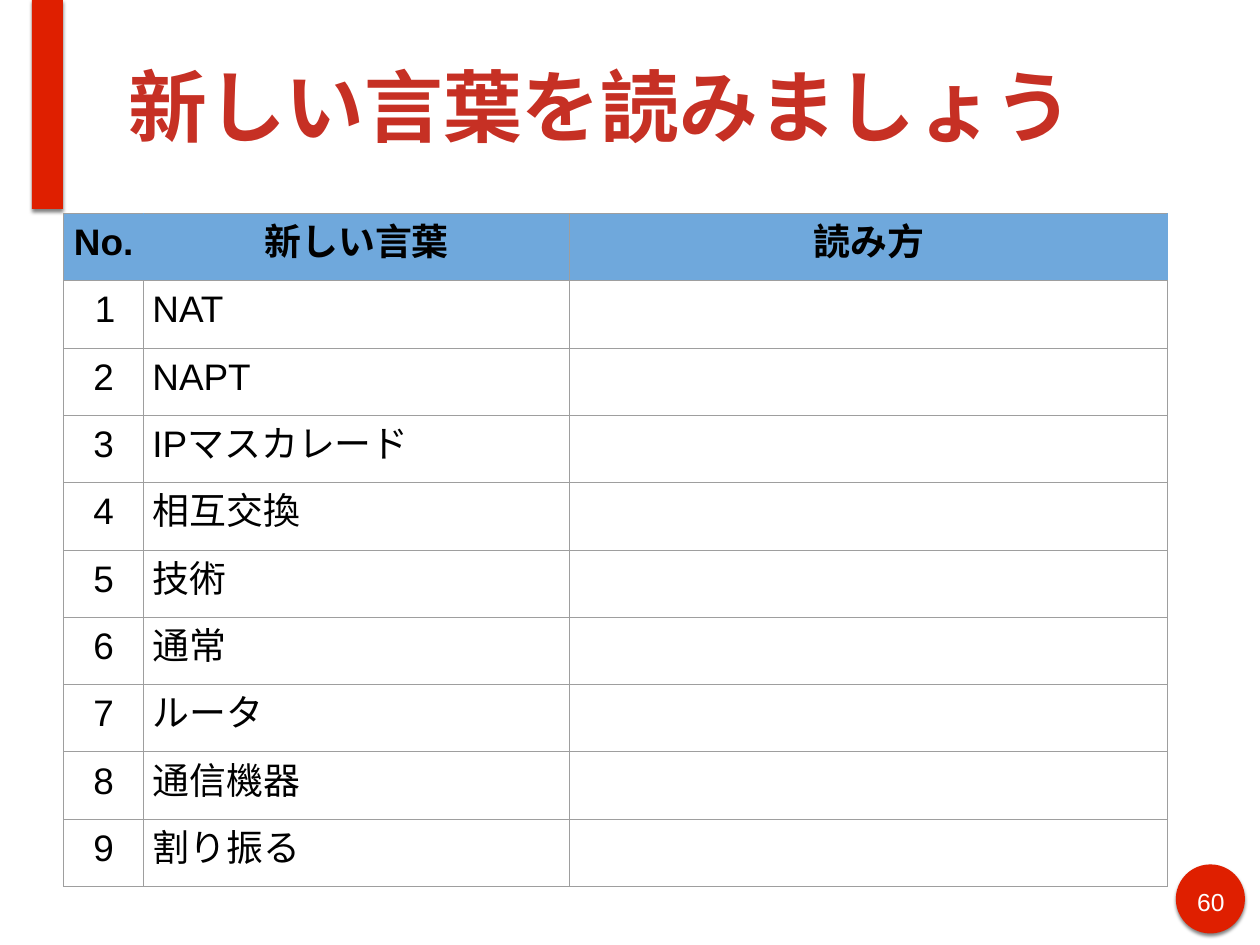
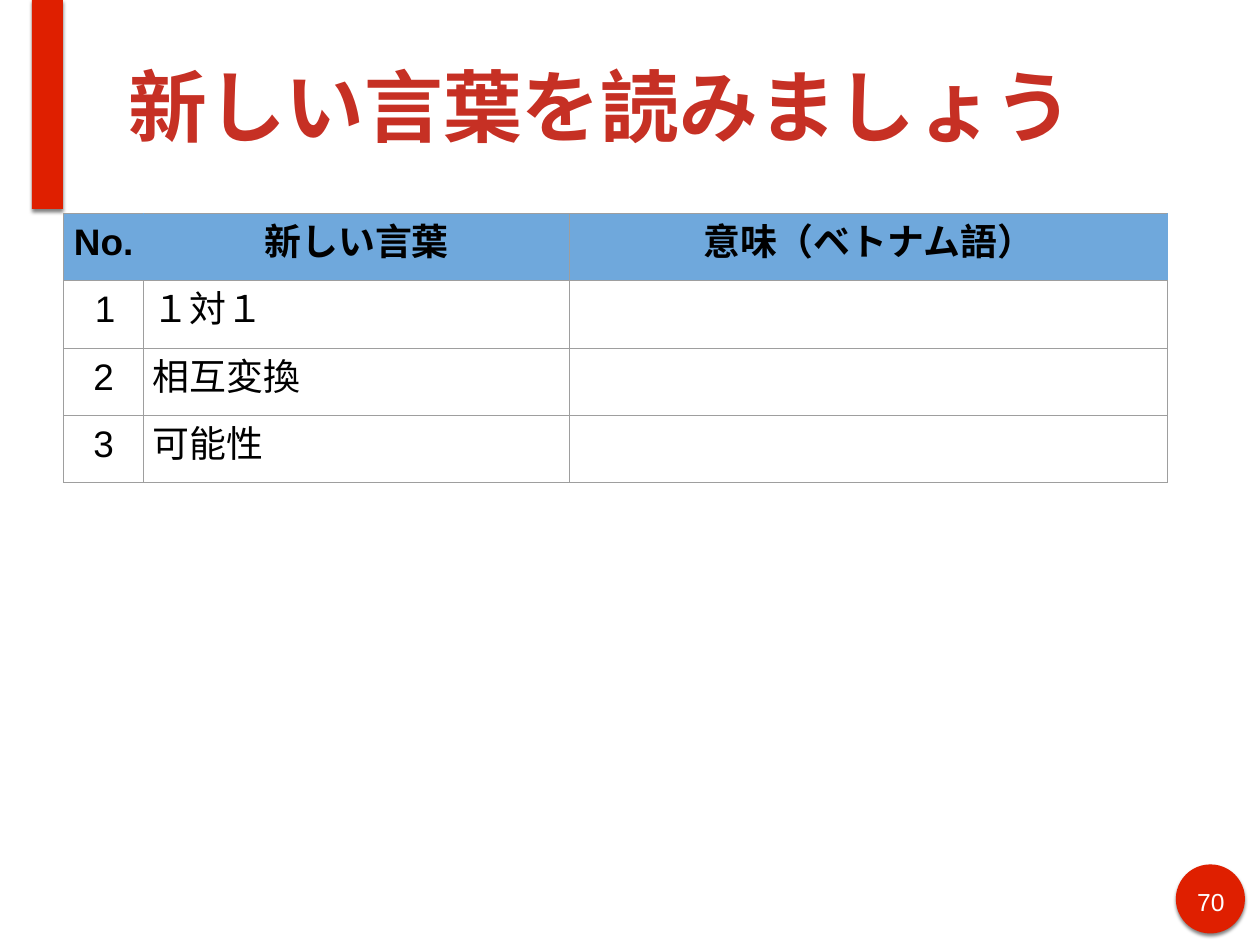
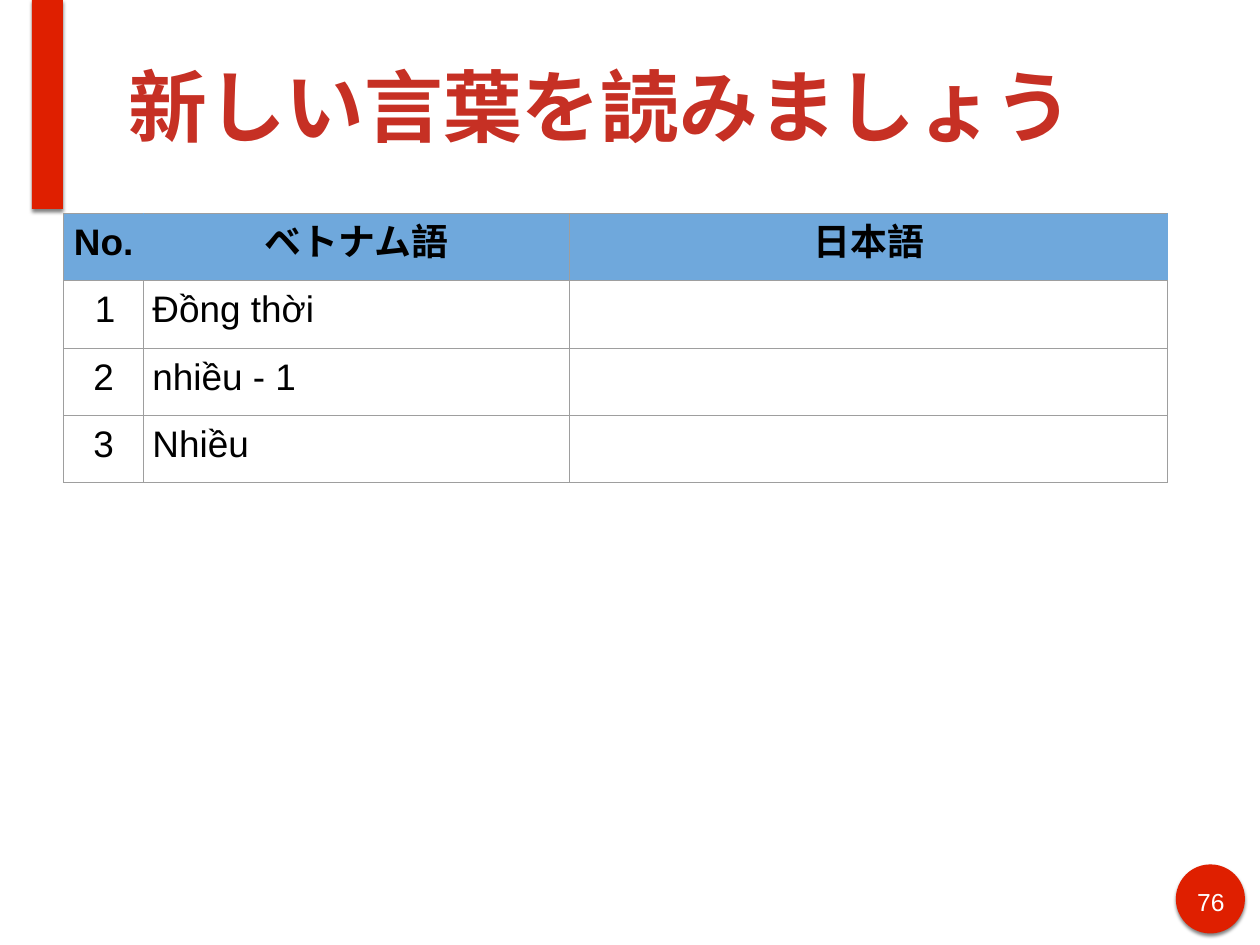
from lxml import etree
from pptx import Presentation
from pptx import util as u
from pptx.dml.color import RGBColor
from pptx.enum import shapes, text
from pptx.oxml import ns

FONT = "Arial"
RED = RGBColor(0xDF, 0x1F, 0x00)
TITLE_RED = RGBColor(0xC6, 0x30, 0x24)
HEADER_BLUE = RGBColor(0x6F, 0xA8, 0xDC)
BORDER_GREY = RGBColor(0x9E, 0x9E, 0x9E)
BLACK = RGBColor(0x00, 0x00, 0x00)
WHITE = RGBColor(0xFF, 0xFF, 0xFF)

TITLE = "新しい言葉を読みましょう"
COLUMN_WIDTHS = (0.9, 4.81, 6.75)
ROW_HEIGHT = 0.76
CELL_INSET = 0.1
TEXT_INSET = 0.06
TABLE_CORNER = (0.72, 2.41)

LESSONS = (
    (60, ("新しい言葉", "読み方"),
     ("NAT", "NAPT", "IPマスカレード", "相互交換", "技術", "通常",
      "ルータ", "通信機器", "割り振る")),
    (70, ("新しい言葉", "意味（ベトナム語）"),
     ("１対１", "相互変換", "可能性")),
    (76, ("ベトナム語", "日本語"),
     ("Đồng thời", "nhiều - 1", "Nhiều")),
)


def add_child(parent, tag, **attributes):
    """Append a DrawingML element and return it."""
    child = etree.SubElement(parent, ns.qn(tag))
    for name, value in attributes.items():
        child.set(name, str(value))
    return child


def set_insets(target, inset):
    """Give a text frame or a cell the same margin on all sides."""
    for side in ("left", "top", "right", "bottom"):
        setattr(target, f"margin_{side}", u.Inches(inset))


def add_run(paragraph, words, size, color, bold=False):
    """Add one styled run to a paragraph."""
    run = paragraph.add_run()
    run.text = words
    font = run.font
    font.name = FONT
    font.size = u.Pt(size)
    font.bold = bold
    font.color.rgb = color
    latin = font._element.find(ns.qn("a:latin"))
    east_asian = etree.Element(ns.qn("a:ea"))
    east_asian.set("typeface", FONT)
    latin.addnext(east_asian)


def add_text(slide, box, words, size, color, bold=False,
             align=text.PP_ALIGN.LEFT, anchor=text.MSO_ANCHOR.TOP):
    """Place a single-paragraph text box."""
    frame = slide.shapes.add_textbox(*map(u.Inches, box)).text_frame
    frame.word_wrap = True
    frame.vertical_anchor = anchor
    set_insets(frame, TEXT_INSET)
    paragraph = frame.paragraphs[0]
    paragraph.alignment = align
    add_run(paragraph, words, size, color, bold)


def add_red_shape(slide, kind, box):
    """Place a red shape with a soft shadow below it."""
    shape = slide.shapes.add_shape(kind, *map(u.Inches, box))
    shape.shadow.inherit = False
    shape.fill.solid()
    shape.fill.fore_color.rgb = RED
    shape.line.fill.background()
    effects = shape._element.spPr.find(ns.qn("a:effectLst"))
    shadow = add_child(effects, "a:outerShdw", blurRad=u.Pt(3), dist=u.Pt(2),
                       dir=90 * 60000, rotWithShape=0)
    color = add_child(shadow, "a:srgbClr", val=BLACK)
    add_child(color, "a:alpha", val=50000)


def add_page_badge(slide, box, number):
    """Place the round page badge and its number."""
    left, top, width, height = box
    add_red_shape(slide, shapes.MSO_SHAPE.OVAL, box)
    add_text(slide, (left + 0.15, top + 0.19, width - 0.29, height / 2),
             str(number), 20, WHITE, align=text.PP_ALIGN.CENTER)


def add_frame(slide, number):
    """Place the band, the badge and the title that all slides share."""
    add_page_badge(slide, (13.27, 9.76, 0.78, 0.78), number)
    add_red_shape(slide, shapes.MSO_SHAPE.RECTANGLE, (0.36, 0, 0.35, 2.36))
    add_text(slide, (1.39, 0.12, 12.14, 2.12), TITLE, 64, TITLE_RED,
             bold=True, anchor=text.MSO_ANCHOR.MIDDLE)


def set_borders(cell, colors):
    """Draw the left, right, top and bottom borders of a cell."""
    properties = cell._tc.get_or_add_tcPr()
    for index, (side, color) in enumerate(zip("LRTB", colors)):
        line = etree.Element(ns.qn(f"a:ln{side}"))
        line.set("w", str(u.Pt(0.75)))
        add_child(add_child(line, "a:solidFill"), "a:srgbClr", val=color)
        properties.insert(index, line)


def fill_cell(cell, words, row, column):
    """Style a cell by its row and column and write its words."""
    is_header = row == 0
    set_insets(cell, CELL_INSET)
    if is_header:
        cell.fill.solid()
        cell.fill.fore_color.rgb = HEADER_BLUE
    else:
        cell.fill.background()
    left = HEADER_BLUE if is_header and column == 1 else BORDER_GREY
    right = HEADER_BLUE if is_header and column != 1 else BORDER_GREY
    set_borders(cell, (left, right, BORDER_GREY, BORDER_GREY))
    if not words:
        return
    paragraph = cell.text_frame.paragraphs[0]
    if (row, column) == (1, 0):
        properties = paragraph._p.get_or_add_pPr()
        properties.set("marL", str(u.Inches(0.5)))
        properties.set("indent", str(u.Inches(-0.25)))
    elif is_header or column == 0:
        paragraph.alignment = text.PP_ALIGN.CENTER
    add_run(paragraph, words, 30, BLACK, is_header)


def add_word_table(slide, corner, headings, words):
    """Place the numbered word list with an empty answer column."""
    rows = [("No.", *headings)]
    rows += [(str(number), word, "") for number, word in enumerate(words, 1)]
    size = (sum(COLUMN_WIDTHS), ROW_HEIGHT * len(rows))
    table = slide.shapes.add_table(len(rows), len(COLUMN_WIDTHS),
                                   *map(u.Inches, corner + size)).table
    table.first_row = False
    table.horz_banding = False
    for column, width in zip(table.columns, COLUMN_WIDTHS):
        column.width = u.Inches(width)
    for row, entries in enumerate(rows):
        table.rows[row].height = u.Inches(ROW_HEIGHT)
        for column, entry in enumerate(entries):
            fill_cell(table.cell(row, column), entry, row, column)


def main():
    """Build the vocabulary slides and save them."""
    presentation = Presentation()
    presentation.slide_width = u.Inches(14.22)
    presentation.slide_height = u.Inches(10.67)
    for number, headings, words in LESSONS:
        slide = presentation.slides.add_slide(presentation.slide_layouts[6])
        add_frame(slide, number)
        add_word_table(slide, TABLE_CORNER, headings, words)
    presentation.save("out.pptx")


if __name__ == "__main__":
    main()
